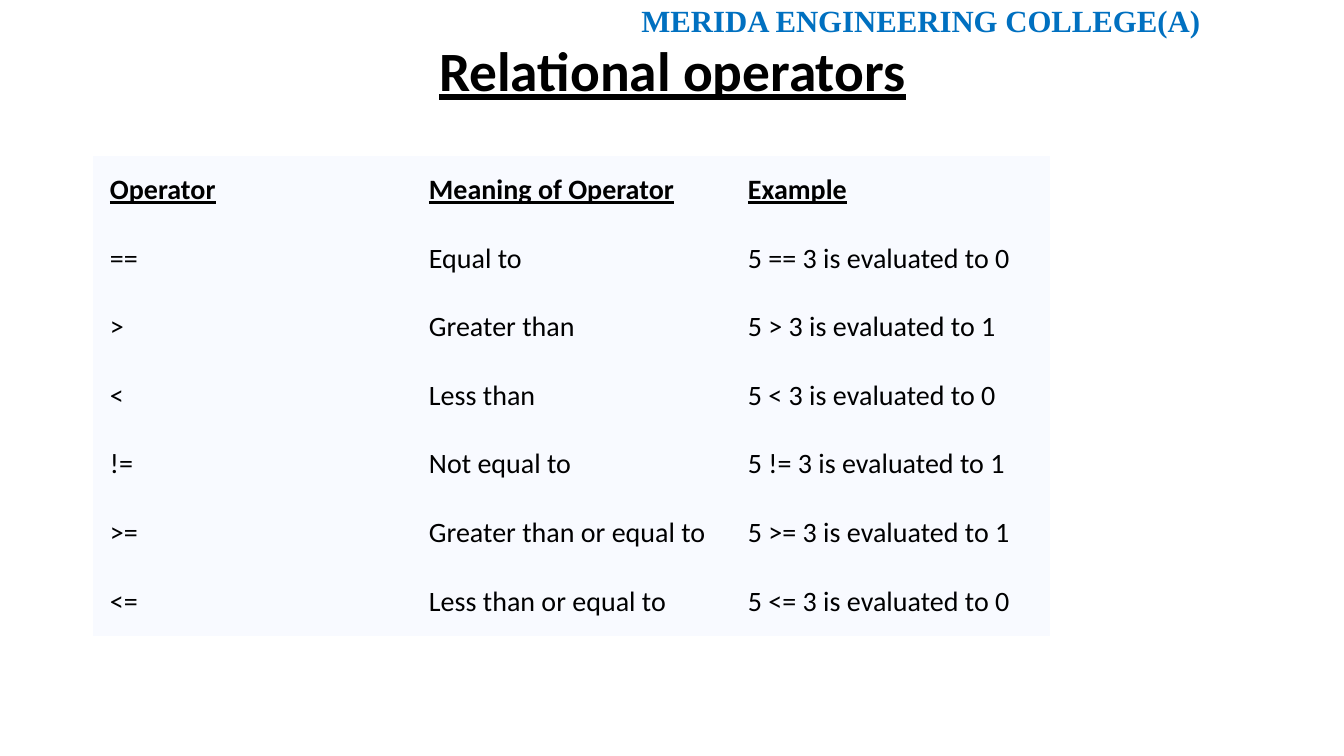
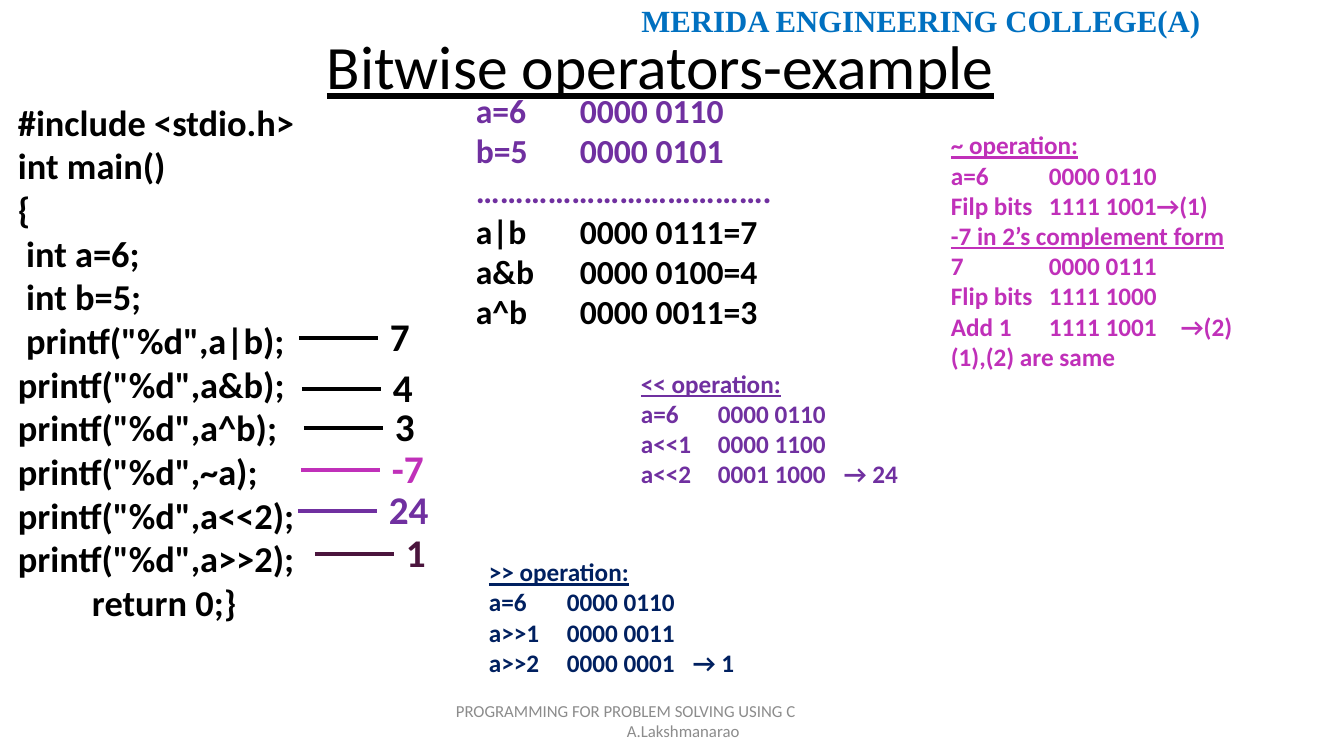
"""Build two slides on relational and bitwise operators in C."""
from lxml import etree
from pptx import Presentation
from pptx import util as u
from pptx.dml.color import RGBColor
from pptx.enum import shapes, text
from pptx.oxml.ns import qn

BLACK = RGBColor(0x00, 0x00, 0x00)
BLUE = RGBColor(0x00, 0x70, 0xC0)
NAVY = RGBColor(0x00, 0x20, 0x60)
PURPLE = RGBColor(0x70, 0x30, 0xA0)
MAGENTA = RGBColor(0xC0, 0x30, 0xB9)
PLUM = RGBColor(0x4B, 0x15, 0x3D)
GREY = RGBColor(0x8C, 0x8C, 0x8C)
PALE = RGBColor(0xF8, 0xFA, 0xFF)
EMU_PER_PX = 914400 / 100.8
NO_STYLE = "{2D5ABB26-0587-4C30-8999-92F81FD0307C}"


def px(*lengths):
    return [u.Emu(round(n * EMU_PER_PX)) for n in lengths]


def write(tf, lines, size, color, bold=True, underlined=(), tabs=(), font="Calibri"):
    tf.word_wrap = True
    tf.auto_size = text.MSO_AUTO_SIZE.NONE
    tf.text = "\n".join(lines)
    for i, p in enumerate(tf.paragraphs):
        f = p.runs[0].font
        f.name, f.size, f.bold = font, u.Pt(size), bold
        f.underline = i in underlined
        f.color.rgb = color
        if tabs:
            stops = etree.SubElement(p._p.get_or_add_pPr(), qn("a:tabLst"))
            for pos in px(*tabs):
                etree.SubElement(stops, qn("a:tab"), pos=str(pos), algn="l")
    return tf


prs = Presentation()
prs.slide_width, prs.slide_height = px(1344, 756)
layout = prs.slide_layouts[5]

titles = [
    ("Relational operators", (93, 40, 1159, 67), 39.6, True),
    ("Bitwise operators-example", (81, -3, 1159, 146), 44, False),
]
slides = []
for title, box, size, bold in titles:
    s = prs.slides.add_slide(layout)
    sp = s.shapes.title
    sp.left, sp.top, sp.width, sp.height = px(*box)
    tf = write(sp.text_frame, [title], size, BLACK, bold, underlined=[0])
    tf.vertical_anchor = text.MSO_ANCHOR.MIDDLE
    tf.paragraphs[0].alignment = text.PP_ALIGN.CENTER
    tf.paragraphs[0].line_spacing = 0.9
    slides.append(s)
relational, bitwise = slides

header = relational.shapes.add_textbox(*px(487, -3, 723, 47))
tf = write(header.text_frame, ["MERIDA ENGINEERING COLLEGE(A)"], 22, BLUE,
           font="Times New Roman")
tf.paragraphs[0].alignment = text.PP_ALIGN.RIGHT
layout.shapes.element.append(header.element)

rows = [
    ("Operator", "Meaning of Operator", "Example"),
    ("==", "Equal to", "5 == 3 is evaluated to 0"),
    (">", "Greater than", "5 > 3 is evaluated to 1"),
    ("<", "Less than", "5 < 3 is evaluated to 0"),
    ("!=", "Not equal to", "5 != 3 is evaluated to 1"),
    (">=", "Greater than or equal to", "5 >= 3 is evaluated to 1"),
    ("<=", "Less than or equal to", "5 <= 3 is evaluated to 0"),
]
table = relational.shapes.add_table(len(rows), 3, *px(93, 156, 957, 480)).table
table.first_row = table.horz_banding = False
table._tbl.tblPr.find(qn("a:tableStyleId")).text = NO_STYLE
for i, row in enumerate(rows):
    for j, value in enumerate(row):
        cell = table.cell(i, j)
        cell.fill.solid()
        cell.fill.fore_color.rgb = PALE
        cell.vertical_anchor = text.MSO_ANCHOR.MIDDLE
        cell.margin_left, cell.margin_right = px(17, 17)
        cell.margin_top, cell.margin_bottom = px(8, 8)
        cell.text = value
        f = cell.text_frame.paragraphs[0].runs[0].font
        f.name, f.size, f.color.rgb = "Calibri", u.Pt(20), BLACK
        f.bold = f.underline = i == 0

footer = bitwise.shapes.add_textbox(*px(446, 701, 454, 40))
tf = write(footer.text_frame, ["PROGRAMMING FOR PROBLEM SOLVING USING C", "A.Lakshmanarao"],
           12, GREY, bold=False)
tf.vertical_anchor = text.MSO_ANCHOR.MIDDLE
tf.paragraphs[1]._p.get_or_add_pPr().set("marL", str(px(171)[0]))

code = [
    "#include <stdio.h>", "int main()", "{", " int a=6;", " int b=5;",
    ' printf("%d",a|b);', 'printf("%d",a&b);', 'printf("%d",a^b);',
    'printf("%d",~a);', 'printf("%d",a<<2);', 'printf("%d",a>>2);', "return 0;}",
]
sp = bitwise.shapes.add_textbox(*px(8, 95, 672, 539))
tf = write(sp.text_frame, code, 26, BLACK)
tf.paragraphs[-1]._p.get_or_add_pPr().set("marL", str(px(74)[0]))

results = [
    ("7", 299, 338, BLACK, 2.25),
    ("4", 302, 389, BLACK, 3),
    ("3", 304, 428, BLACK, 3),
    ("-7", 301, 470, MAGENTA, 3),
    ("24", 298, 511, PURPLE, 3),
    ("1", 315, 554, PLUM, 3),
]
for result, x, y, color, weight in results:
    line = bitwise.shapes.add_connector(shapes.MSO_CONNECTOR.STRAIGHT, *px(x, y, x + 79, y))
    line.line.color.rgb, line.line.width = color, u.Pt(weight)
    etree.SubElement(line.element.spPr, qn("a:effectLst"))
    sp = bitwise.shapes.add_textbox(*px(x + 81, y - 31, 78, 57))
    write(sp.text_frame, [result], 28, color)

workings = [
    ((466, 70, 340, 281), 24, PURPLE, [], (104,), [
        "a=6\t0000 0110", "b=5\t0000 0101", "……………………………….",
        "a|b\t0000 0111=7", "a&b\t0000 0100=4", "a^b\t0000 0011=3"]),
    ((631, 360, 355, 137), 18, PURPLE, [0], (77, 203), [
        "<< operation:", "a=6\t0000 0110", "a<<1\t0000 1100", "a<<2\t0001 1000\t→ 24"]),
    ((479, 547, 322, 140), 18, NAVY, [0], (78, 204), [
        ">> operation:", "a=6\t0000 0110", "a>>1\t0000 0011", "a>>2\t0000 0001\t→ 1"]),
    ((941, 110, 340, 281), 18, MAGENTA, [0, 3], (98, 230), [
        "~ operation:", "a=6\t0000 0110", "Filp bits\t1111 1001→(1)",
        "-7 in 2’s complement form", "7\t0000 0111", "Flip bits\t1111 1000",
        "Add 1\t1111 1001\t→(2)", "(1),(2) are same"]),
]
frames = []
for box, size, color, underlined, tabs, lines in workings:
    sp = bitwise.shapes.add_textbox(*px(*box))
    tf = write(sp.text_frame, lines, size, color, underlined=underlined, tabs=tabs)
    tf.vertical_anchor = text.MSO_ANCHOR.MIDDLE
    frames.append(tf)
for p in frames[0].paragraphs[3:]:
    p.runs[0].font.color.rgb = BLACK

prs.save("out.pptx")
